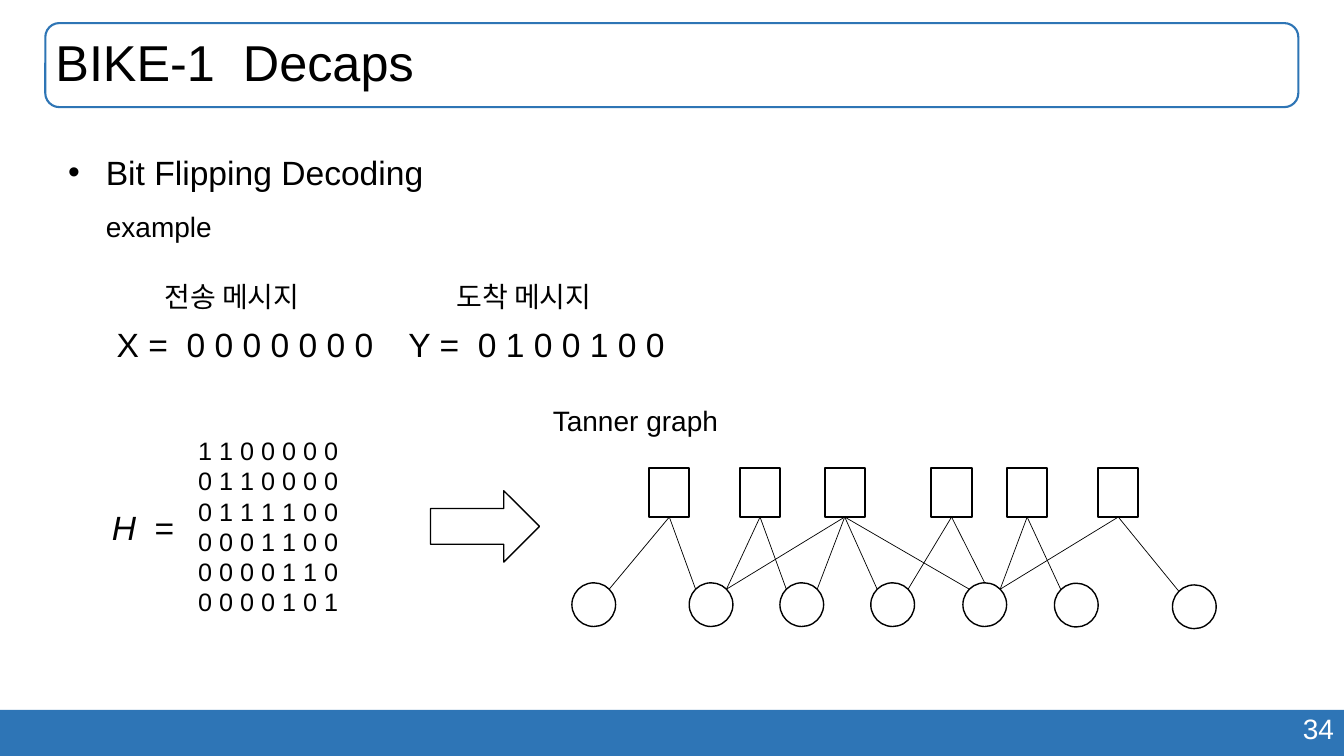
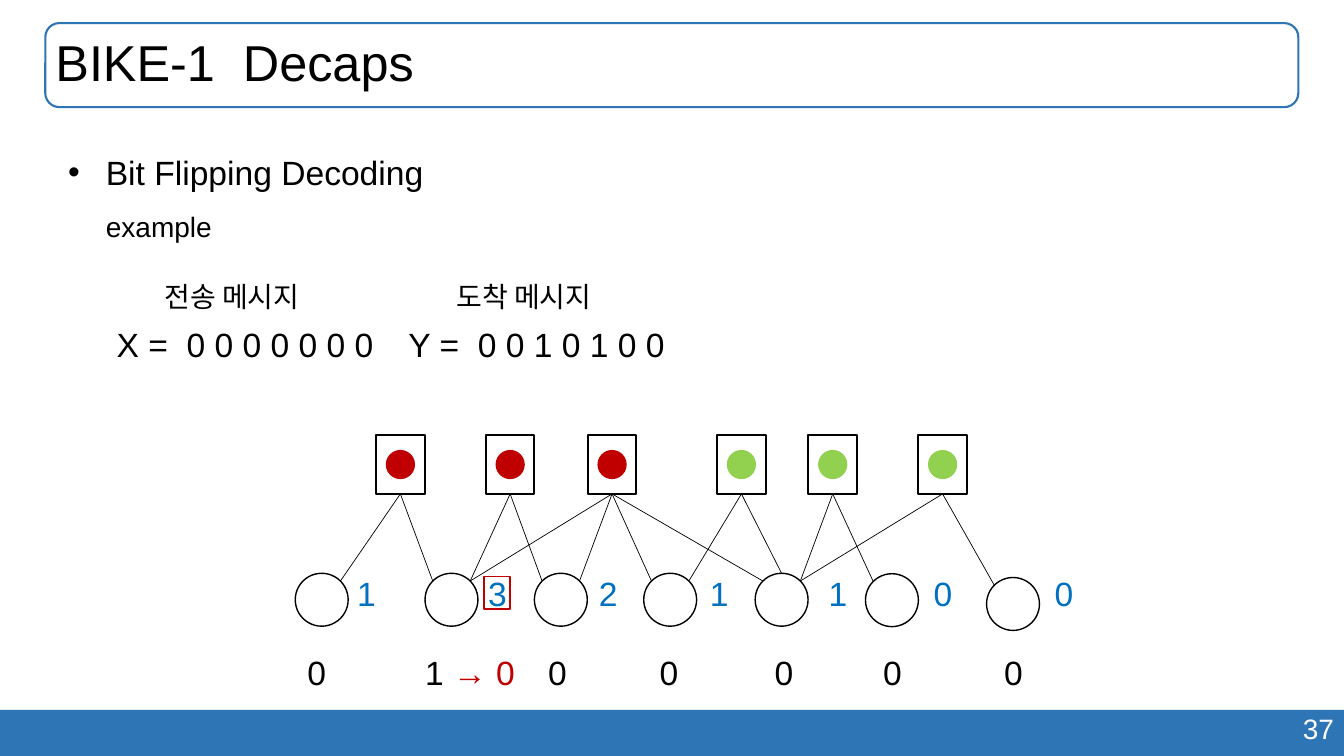
"""Builds two slides that explain bit flipping decoding with Tanner graphs."""
from dataclasses import dataclass
from math import sqrt
from typing import NamedTuple, Optional

from lxml.etree import SubElement
from pptx import Presentation
from pptx.dml.color import RGBColor
from pptx.enum.shapes import MSO_CONNECTOR, MSO_SHAPE
from pptx.enum.text import MSO_ANCHOR, MSO_AUTO_SIZE, PP_ALIGN
from pptx.oxml.ns import qn
from pptx.shapes.autoshape import Shape
from pptx.slide import Slide, SlideLayout
from pptx.text.text import Font, _Paragraph
from pptx.util import Pt

FONT = "Arial"
BLACK, WHITE = "000000", "FFFFFF"
BAND_BLUE, FRAME_BLUE, VOTE_BLUE = "2E75B6", "2E75B5", "0070C0"
RED, GREEN = "C00000", "92D050"
PARITY_ROWS = (
    "1 1 0 0 0 0 0",
    "0 1 1 0 0 0 0",
    "0 1 1 1 1 0 0",
    "0 0 0 1 1 0 0",
    "0 0 0 0 1 1 0",
    "0 0 0 0 1 0 1",
)


class Box(NamedTuple):
    """Left, top, width and height in points."""

    left: float
    top: float
    width: float
    height: float


PAGE = Box(0, 0, 960, 540)
TITLE_BOX = Box(32.4, 16.5, 895, 60)
BODY_BOX = Box(32.4, 90.7, 895, 398)


@dataclass(frozen=True)
class TannerGraph:
    """Check squares above bit circles, joined by the parity matrix."""

    check_lefts: tuple[float, ...]
    check_top: float
    check_width: float
    check_height: float
    bit_lefts: tuple[float, ...]
    bit_tops: tuple[float, ...]
    bit_diameter: float

    def checks(self) -> list[Box]:
        """Return the boxes of the check squares."""
        return [Box(left, self.check_top, self.check_width, self.check_height)
                for left in self.check_lefts]

    def bits(self) -> list[Box]:
        """Return the boxes of the bit circles."""
        return [Box(left, top, self.bit_diameter, self.bit_diameter)
                for left, top in zip(self.bit_lefts, self.bit_tops)]


@dataclass(frozen=True)
class Message:
    """A caption with a bit word below it."""

    left: float
    caption: str
    word: str


SMALL_GRAPH = TannerGraph(
    (463.7, 528.5, 589, 665.3, 719.3, 784.4), 334.5, 28.8, 34.8,
    (408.5, 492.3, 557.1, 622, 687.8, 753.2, 837.5),
    (416.3, 416.3, 416.3, 416.3, 416.3, 416.6, 417.8), 31.2)
LARGE_GRAPH = TannerGraph(
    (268.6, 347, 419.8, 512.2, 577.4, 655.9), 310.8, 34.8, 42,
    (210.9, 303.6, 381.7, 459.8, 539.4, 618.2, 704.7),
    (409.5, 409.5, 409.5, 409.5, 409.5, 409.8, 412.5), 37.8)


def colour(value: str) -> RGBColor:
    """Turn a hex string into a colour."""
    return RGBColor.from_string(value)


def set_font(font: Font, size: float, hex_colour: str = BLACK) -> None:
    """Set typeface, size and colour."""
    font.name = FONT
    font.size = Pt(size)
    font.color.rgb = colour(hex_colour)


def place(shape: Shape, box: Box) -> None:
    """Move and size a shape."""
    shape.left, shape.top, shape.width, shape.height = map(Pt, box)


def add_figure(slide: Slide, kind: MSO_SHAPE, box: Box, fill: Optional[str] = None,
               line: Optional[str] = None, line_width: float = 1) -> Shape:
    """Add a flat preset shape."""
    shape = slide.shapes.add_shape(kind, *map(Pt, box))
    shape.shadow.inherit = False
    if fill:
        shape.fill.solid()
        shape.fill.fore_color.rgb = colour(fill)
    else:
        shape.fill.background()
    if line:
        shape.line.color.rgb = colour(line)
        shape.line.width = Pt(line_width)
    else:
        shape.line.fill.background()
    return shape


def add_text(slide: Slide, box: Box, lines: tuple[str, ...], size: float,
             hex_colour: str = BLACK, align: PP_ALIGN = PP_ALIGN.LEFT) -> _Paragraph:
    """Add a text box and return its last paragraph."""
    frame = slide.shapes.add_textbox(*map(Pt, box)).text_frame
    frame.word_wrap = False
    frame.auto_size = MSO_AUTO_SIZE.SHAPE_TO_FIT_TEXT
    frame.text = "\n".join(lines)
    for paragraph in frame.paragraphs:
        paragraph.alignment = align
        set_font(paragraph.font, size, hex_colour)
    return frame.paragraphs[-1]


def add_edge(slide: Slide, check: Box, bit: Box) -> None:
    """Join the foot of a check to the nearest upper point of a bit."""
    start_x = check.left + check.width / 2
    radius = bit.width / 2
    centre_x, centre_y = bit.left + radius, bit.top + radius
    offset = start_x - centre_x
    end_x, end_y = centre_x, bit.top
    if abs(offset) > 0.85 * bit.width:
        reach = radius / sqrt(2)
        end_x += reach if offset > 0 else -reach
        end_y = centre_y - reach
    connector = slide.shapes.add_connector(
        MSO_CONNECTOR.STRAIGHT, Pt(start_x), Pt(check.top + check.height),
        Pt(end_x), Pt(end_y))
    connector.line.color.rgb = colour(BLACK)
    connector.line.width = Pt(0.5)
    SubElement(connector.element.spPr, qn("a:effectLst"))


def add_graph(slide: Slide, graph: TannerGraph) -> None:
    """Draw the checks, the bits and one edge per matrix entry."""
    checks, bits = graph.checks(), graph.bits()
    for check in checks:
        add_figure(slide, MSO_SHAPE.RECTANGLE, check, line=BLACK, line_width=1.5)
    for bit in bits:
        add_figure(slide, MSO_SHAPE.OVAL, bit, WHITE, BLACK)
    for check, row in zip(checks, PARITY_ROWS):
        for bit, entry in zip(bits, row.split()):
            if entry == "1":
                add_edge(slide, check, bit)


def add_message(slide: Slide, message: Message) -> None:
    """Add a message caption and its word."""
    add_text(slide, Box(message.left + 29, 196.4, 121, 31.5), (message.caption,),
             20, align=PP_ALIGN.CENTER)
    add_text(slide, Box(message.left, 227.8, 199.5, 36), (message.word,), 24)


def prepare_layout(layout: SlideLayout, slide: Slide) -> None:
    """Put the band, the title frame and the placeholder places on the layout."""
    band = add_figure(slide, MSO_SHAPE.RECTANGLE, Box(0, 507, 960, 33), BAND_BLUE)
    frame = add_figure(slide, MSO_SHAPE.ROUNDED_RECTANGLE, TITLE_BOX,
                       line=FRAME_BLUE, line_width=1.5)
    for index, shape in enumerate((band, frame)):
        layout.shapes.element.insert(2 + index, shape.element)
    for placeholder in layout.placeholders:
        if placeholder.placeholder_format.idx == 0:
            place(placeholder, TITLE_BOX)
        elif placeholder.placeholder_format.idx == 1:
            place(placeholder, BODY_BOX)


def fill_title(slide: Slide) -> None:
    """Write the slide title."""
    title = slide.shapes.title
    place(title, TITLE_BOX)
    frame = title.text_frame
    frame.text = "BIKE-1  Decaps"
    frame.auto_size = MSO_AUTO_SIZE.NONE
    frame.vertical_anchor = MSO_ANCHOR.MIDDLE
    paragraph = frame.paragraphs[0]
    paragraph.alignment = PP_ALIGN.LEFT
    paragraph.line_spacing = 0.9
    set_font(paragraph.font, 36)


def fill_body(slide: Slide) -> None:
    """Write the bullet and the plain line below it."""
    body = slide.placeholders[1]
    place(body, BODY_BOX)
    frame = body.text_frame
    frame.text = "Bit Flipping Decoding\nexample"
    frame.auto_size = MSO_AUTO_SIZE.NONE
    for paragraph, size, bullet in zip(frame.paragraphs, (24, 20), ("•", "")):
        properties = paragraph._p.get_or_add_pPr()
        properties.set("marL", str(Pt(36)))
        properties.set("indent", str(Pt(-27) if bullet else 0))
        if bullet:
            SubElement(properties, qn("a:buFont")).set("typeface", FONT)
            SubElement(properties, qn("a:buChar")).set("char", bullet)
        else:
            SubElement(properties, qn("a:buNone"))
        paragraph.line_spacing = 1.5
        paragraph.space_before = Pt(0)
        set_font(paragraph.font, size)


def fill_common(slide: Slide, number: int, received: str) -> None:
    """Add what both slides share."""
    fill_title(slide)
    fill_body(slide)
    add_text(slide, Box(679, 505, 281, 31.5), (str(number),), 20, WHITE, PP_ALIGN.RIGHT)
    add_message(slide, Message(76.2, "전송 메시지", "X =  0 0 0 0 0 0 0"))
    add_message(slide, Message(284.7, "도착 메시지", f"Y =  {received}"))


def fill_matrix_slide(slide: Slide) -> None:
    """Show the parity matrix turning into its graph."""
    fill_common(slide, 34, "0 1 0 0 1 0 0")
    add_text(slide, Box(134.5, 307.5, 120, 138), PARITY_ROWS, 18)
    paragraph = add_text(slide, Box(72.8, 358.7, 66, 36), ("H",), 24)
    paragraph.runs[0].font.italic = True
    paragraph.add_run().text = "  ="
    add_figure(slide, MSO_SHAPE.RIGHT_ARROW, Box(307.5, 350.5, 77.8, 51), WHITE, BLACK)
    add_graph(slide, SMALL_GRAPH)
    add_text(slide, Box(387.8, 284.5, 133, 31.5), ("Tanner graph",), 20)


def fill_flip_slide(slide: Slide) -> None:
    """Show the failed checks, the votes and the flipped bit."""
    fill_common(slide, 37, "0 0 1 0 1 0 0")
    add_graph(slide, LARGE_GRAPH)
    dot = 20.9
    for check, fill in zip(LARGE_GRAPH.checks(), (RED,) * 3 + (GREEN,) * 3):
        add_figure(slide, MSO_SHAPE.OVAL,
                   Box(check.left + (check.width - dot) / 2,
                       check.top + (check.height - dot) / 2, dot, dot), fill)
    vote_lefts = (247.7, 341.3, 420.4, 499.7, 584.6, 659.5, 746)
    for left, vote in zip(vote_lefts, "1321100"):
        add_text(slide, Box(left, 405.7, 28, 36), (vote,), 24, VOTE_BLUE, PP_ALIGN.CENTER)
    value_centres = (226.2, 335.7, 398.3, 477.8, 560, 637.5, 724)
    for centre, value in zip(value_centres, "0100000"):
        width = 78.5 if value == "1" else 28
        paragraph = add_text(slide, Box(centre - width / 2, 462, width, 36), (value,),
                             24, align=PP_ALIGN.CENTER)
        if value == "1":
            run = paragraph.add_run()
            run.text = " → 0"
            run.font.color.rgb = colour(RED)
    add_figure(slide, MSO_SHAPE.RECTANGLE, Box(345.7, 412, 18.5, 23), line=RED)


def main() -> None:
    """Build and save the presentation."""
    presentation = Presentation()
    presentation.slide_width, presentation.slide_height = Pt(PAGE.width), Pt(PAGE.height)
    layout = presentation.slide_layouts[1]
    matrix_slide, flip_slide = (presentation.slides.add_slide(layout) for _ in range(2))
    prepare_layout(layout, matrix_slide)
    fill_matrix_slide(matrix_slide)
    fill_flip_slide(flip_slide)
    presentation.save("out.pptx")


if __name__ == "__main__":
    main()
